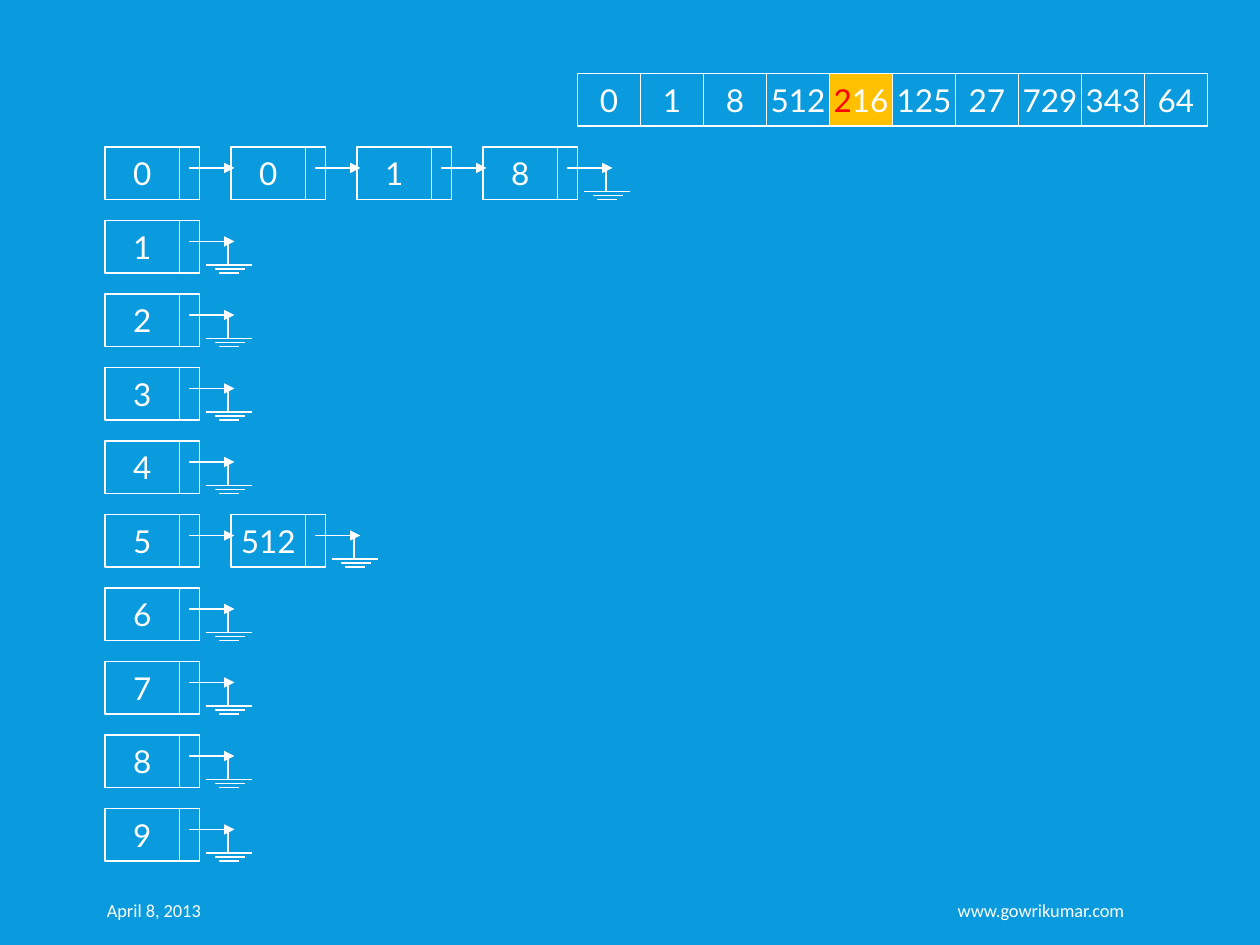
import pptx
import pptx.util
import pptx.dml.color
import pptx.enum.shapes
import pptx.enum.text
import pptx.oxml

Pt = pptx.util.Pt
ALIGN = pptx.enum.text.PP_ALIGN
MIDDLE = pptx.enum.text.MSO_ANCHOR.MIDDLE

WHITE, RED, AMBER, BLUE = "FFFFFF", "FF0000", "FFC000", "099BDD"
LINE_WIDTH = 0.75
CELL_HEIGHT = 30
VALUE_WIDTH, LINK_WIDTH = 42.5, 11.5
NODE_LEFT, NODE_PITCH = 60, 72
BUCKET_TOP, BUCKET_PITCH = 84, 42
ARRAY_LEFT, ARRAY_TOP, ARRAY_WIDTH = 330, 42, 36
ARROW_DROP = 12
GROUND_BARS = [(58, 84, 25.5), (65.25, 76.75, 30), (63, 79.75, 27.75)]
STEM_OFFSET = 70.25

NUMBERS = ["0", "1", "8", "512", "216", "125", "27", "729", "343", "64"]
CURRENT = "216"
CHAINS = {0: ["0", "1", "8"], 5: ["512"]}


def color(hex_string):
    """Turn a hex string into a colour."""
    return pptx.dml.color.RGBColor.from_string(hex_string)


def apply(target, values):
    """Set each attribute of the target from a dict."""
    for name, value in values.items():
        setattr(target, name, value)


def write(frame, runs, frame_format, alignment, font_format):
    """Write one paragraph of (text, colour) runs."""
    apply(frame, {"vertical_anchor": MIDDLE, **frame_format})
    paragraph = frame.paragraphs[0]
    paragraph.alignment = alignment
    for text, hex_string in runs:
        run = paragraph.add_run()
        run.text = text
        apply(run.font, font_format)
        run.font.color.rgb = color(hex_string)


def add_cell(shapes, left, top, width, runs=(), fill=None):
    """Draw an outlined cell, with centred text if it has any."""
    cell = shapes.add_shape(pptx.enum.shapes.MSO_SHAPE.RECTANGLE,
                            Pt(left), Pt(top), Pt(width), Pt(CELL_HEIGHT))
    cell.shadow.inherit = False
    if fill:
        cell.fill.solid()
        cell.fill.fore_color.rgb = color(fill)
    else:
        cell.fill.background()
    cell.line.color.rgb = color(WHITE)
    cell.line.width = Pt(LINE_WIDTH)
    if runs:
        write(cell.text_frame, runs, {"word_wrap": False}, ALIGN.CENTER,
              {"name": "Lato", "size": Pt(18)})


def add_line(shapes, x1, y1, x2, y2, arrow=False):
    """Draw a straight line, with an arrowhead at its end on request."""
    line = shapes.add_connector(pptx.enum.shapes.MSO_CONNECTOR.STRAIGHT,
                                Pt(x1), Pt(y1), Pt(x2), Pt(y2))
    line.line.color.rgb = color(WHITE)
    line.line.width = Pt(LINE_WIDTH)
    properties = line._element.spPr
    if arrow:
        head = pptx.oxml.parse_xml(
            '<a:tailEnd xmlns:a="http://schemas.openxmlformats.org/drawingml/2006/main"'
            ' type="triangle"/>')
        line.line._get_or_add_ln().append(head)
    properties.append(pptx.oxml.parse_xml(
        '<a:effectLst xmlns:a="http://schemas.openxmlformats.org/drawingml/2006/main"/>'))


def add_node(slide, left, top, value, is_last):
    """Draw a list node with its link, grounded when it ends the list."""
    node = slide.shapes.add_group_shape().shapes
    add_cell(node, left, top, VALUE_WIDTH, [(value, WHITE)])
    add_cell(node, left + VALUE_WIDTH, top, LINK_WIDTH)
    link_y = top + ARROW_DROP
    add_line(node, left + 48, link_y, left + 74, link_y, arrow=True)
    if is_last:
        for start, end, drop in GROUND_BARS:
            add_line(node, left + start, top + drop, left + end, top + drop)
        stem_x = left + STEM_OFFSET
        add_line(node, stem_x, top + GROUND_BARS[0][2], stem_x, link_y)


def add_array(slide):
    """Draw the row of numbers, marking the current one and its digit."""
    for index, number in enumerate(NUMBERS):
        left = ARRAY_LEFT + index * ARRAY_WIDTH
        if number == CURRENT:
            runs, fill = [(number[0], RED), (number[1:], WHITE)], AMBER
        else:
            runs, fill = [(number, WHITE)], None
        add_cell(slide.shapes, left, ARRAY_TOP, ARRAY_WIDTH, runs, fill)


def add_buckets(slide):
    """Draw the ten digit buckets with their chained numbers."""
    for digit in range(10):
        chain = [str(digit)] + CHAINS.get(digit, [])
        top = BUCKET_TOP + digit * BUCKET_PITCH
        for index, value in enumerate(chain):
            add_node(slide, NODE_LEFT + index * NODE_PITCH, top, value,
                     index == len(chain) - 1)


def add_footer(slide, left, width, text, alignment, margins):
    """Place one footer text."""
    footer = slide.shapes.add_textbox(Pt(left), Pt(505.5), Pt(width), Pt(28.75))
    write(footer.text_frame, [(text, WHITE)], {"word_wrap": True, **margins},
          alignment, {"name": "Calibri", "size": Pt(10.5)})


def main():
    """Build the radix sort slide."""
    deck = pptx.Presentation()
    apply(deck, {"slide_width": Pt(720), "slide_height": Pt(540)})
    slide = deck.slides.add_slide(deck.slide_layouts[6])
    slide.background.fill.solid()
    slide.background.fill.fore_color.rgb = color(BLUE)
    add_footer(slide, 54, 204.5, "April 8, 2013", ALIGN.LEFT,
               {"margin_left": Pt(7.2), "margin_right": Pt(3.6)})
    add_footer(slide, 330, 319.5, "www.gowrikumar.com", ALIGN.RIGHT, {})
    add_array(slide)
    add_buckets(slide)
    deck.save("out.pptx")


if __name__ == "__main__":
    main()
